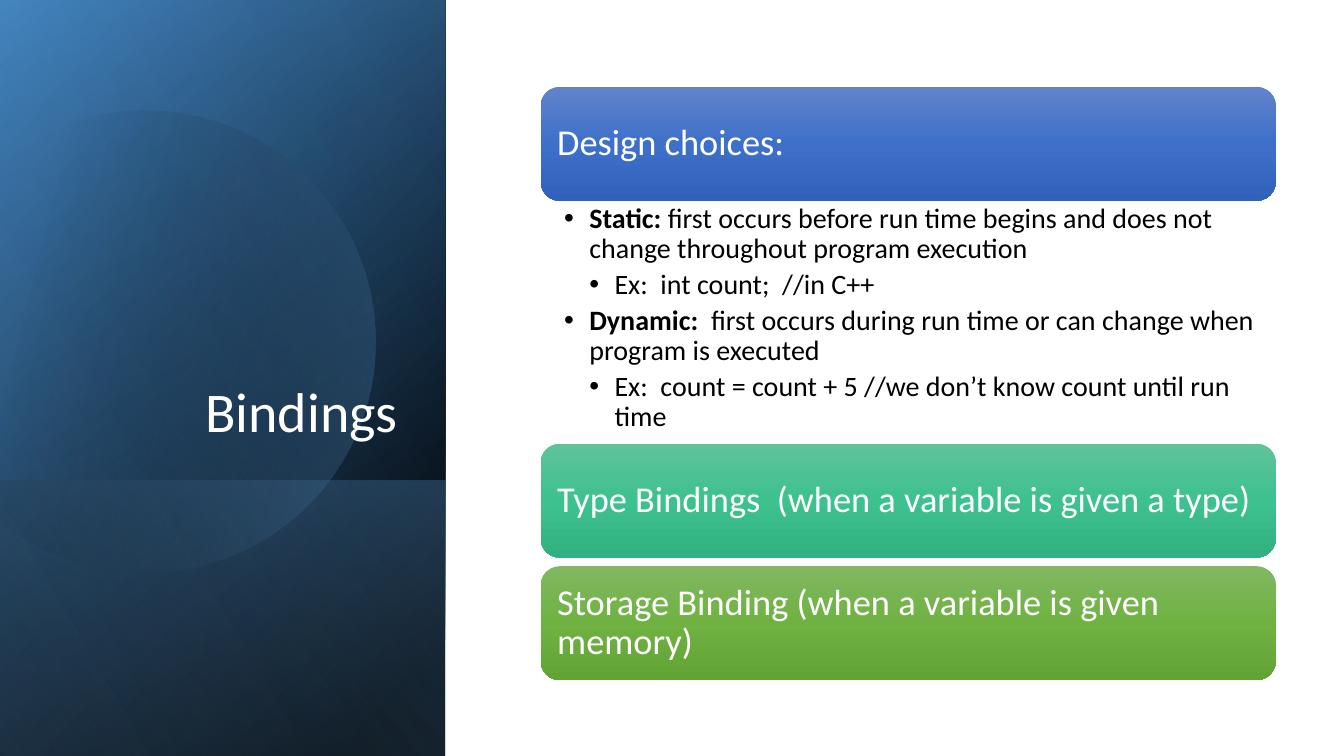
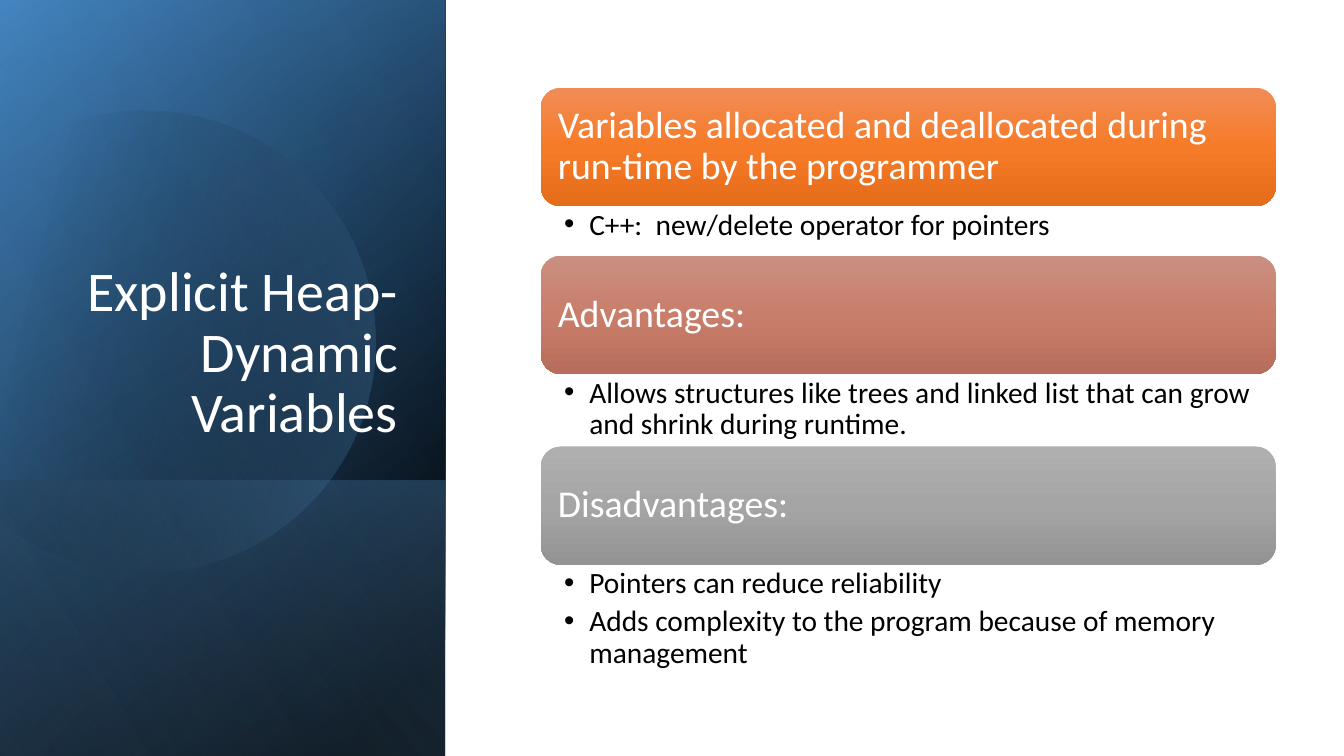
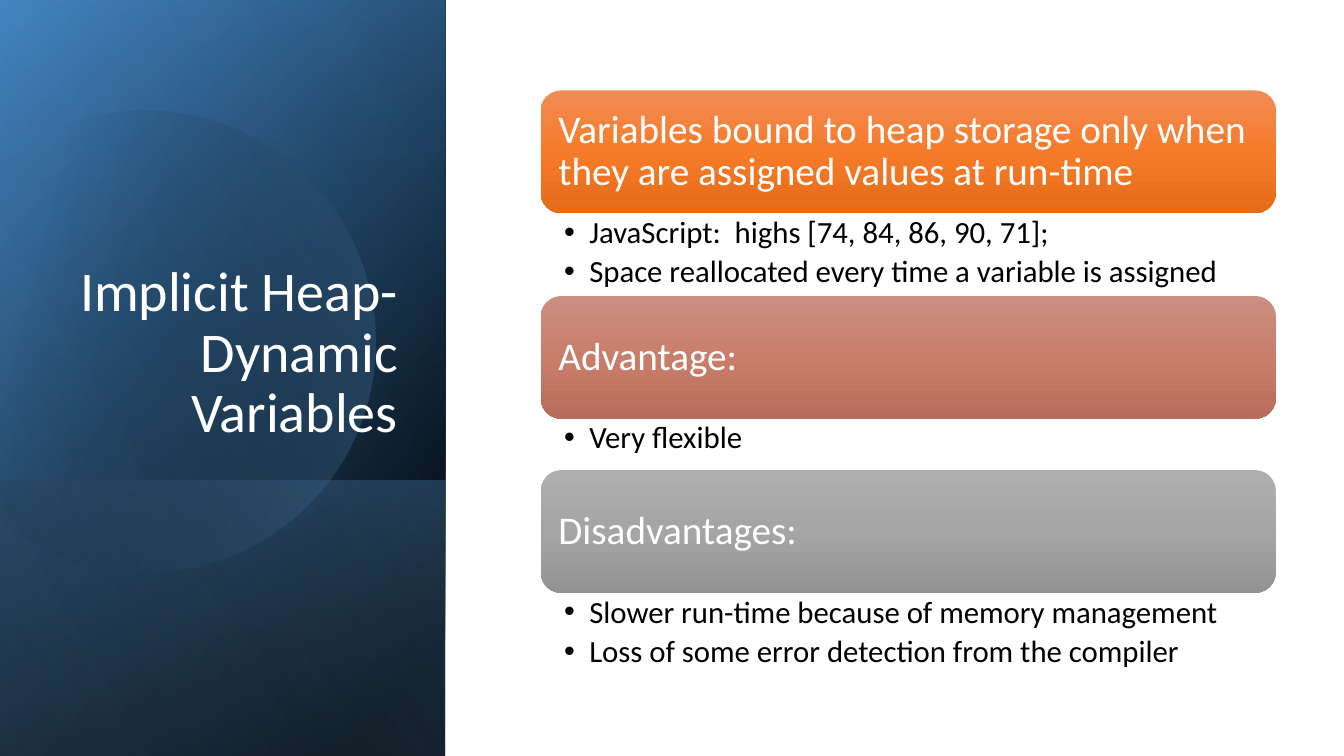
from math import cos, radians, sin

from pptx import Presentation
from pptx.dml.color import RGBColor
from pptx.enum.shapes import MSO_SHAPE
from pptx.enum.text import MSO_ANCHOR, PP_ALIGN
from pptx.oxml import parse_xml
from pptx.oxml.ns import nsdecls, qn
from pptx.util import Pt

FACE = "Calibri"
WHITE, BLACK, SKY = "FFFFFF", "000000", "5B9BD5"
BLUE = ("6183CB", "3E70CA", "3062BB")
TEAL = ("60C39A", "3DC18F", "31B080")
GREEN = ("81B861", "6FB242", "62A336")
ORANGE = ("F18C57", "F67B28", "E56C19")
ROSE = ("CB8F81", "C97E6B", "B76D5B")
GRAY = ("AFAFAF", "A5A5A5", "939393")

LEFT, WIDE = 386.25, 525
SIDE, HIGH = 318, 540

# Title, card font size, list font size, top, and the cards:
# colours, heading, height of the space below, list items (level, lead, text)
SLIDES = [
    ("Bindings", 26, 20, 62, [
        (BLUE, "Design choices:", 173.5, [
            (1, "Static: ", "first occurs before run time begins and does not "
                            "change throughout program execution"),
            (2, "", "Ex:  int count;  //in C++"),
            (1, "Dynamic:  ", "first occurs during run time or can change "
                              "when program is executed"),
            (2, "", "Ex:  count = count + 5 //we don’t know count until run time"),
        ]),
        (TEAL, "Type Bindings  (when a variable is given a type)", 6.2, []),
        (GREEN, "Storage Binding (when a variable is given memory)", 0, []),
    ]),
    ("Explicit Heap-Dynamic Variables", 27, 21, 62.7, [
        (ORANGE, "Variables allocated and deallocated during run-time "
                 "by the programmer", 35.4, [
            (1, "", "C++:  new/delete operator for pointers"),
        ]),
        (ROSE, "Advantages:", 51.8, [
            (1, "", "Allows structures like trees and linked list that can "
                    "grow and shrink during runtime."),
        ]),
        (GRAY, "Disadvantages:", 81.4, [
            (1, "", "Pointers can reduce reliability"),
            (1, "", "Adds complexity to the program because of memory management"),
        ]),
    ]),
    ("Implicit Heap-Dynamic Variables", 28, 22, 64.6, [
        (ORANGE, "Variables bound to heap storage only when they are "
                 "assigned values at run-time", 59.2, [
            (1, "", "JavaScript:  highs [74, 84, 86, 90, 71];"),
            (1, "", "Space reallocated every time a variable is assigned"),
        ]),
        (ROSE, "Advantage:", 36.7, [(1, "", "Very flexible")]),
        (GRAY, "Disadvantages:", 59, [
            (1, "", "Slower run-time because of memory management"),
            (1, "", "Loss of some error detection from the compiler"),
        ]),
    ]),
]


def color(code):
    return RGBColor.from_string(code)


def shade(shape, stops, angle):
    """Give a shape a linear gradient of (place, colour, opacity) stops, all in percent."""
    marks = "".join(
        f'<a:gs pos="{pos * 1000}"><a:srgbClr val="{code}">'
        f'<a:alpha val="{alpha * 1000}"/></a:srgbClr></a:gs>'
        for pos, code, alpha in stops)
    grad = parse_xml(
        f'<a:gradFill {nsdecls("a")} rotWithShape="1"><a:gsLst>{marks}</a:gsLst>'
        f'<a:lin ang="{angle * 60000}" scaled="0"/></a:gradFill>')
    shape.fill.solid()
    props = shape._element.spPr
    props.replace(props.find(qn("a:solidFill")), grad)
    shape.line.fill.background()
    shape.shadow.inherit = False


def panel(slide, top, tall, stops, angle):
    """Add a side panel, as a rectangle turned on its end and flipped."""
    shape = slide.shapes.add_shape(
        MSO_SHAPE.RECTANGLE, Pt((SIDE - tall) / 2), Pt(top + (tall - SIDE) / 2),
        Pt(tall), Pt(SIDE))
    shape.rotation = 90
    shape._element.spPr.find(qn("a:xfrm")).set("flipH", "1")
    shade(shape, stops, angle)


def disc(slide):
    """Add the tilted disc, cut by a chord on its left."""
    mid_x, mid_y, radius = 103.2, 241, 164.8
    turns = (-118, -90, 0, 90, 150)
    rim = [(Pt(mid_x + radius * cos(radians(turn))),
            Pt(mid_y + radius * sin(radians(turn)))) for turn in turns]
    path = slide.shapes.build_freeform(*rim[0])
    path.add_line_segments(rim[1:])
    shape = path.convert_to_shape()
    # Bend each edge of the rim, leaving the closing chord straight
    edges = list(shape._element.iter(qn("a:lnTo")))
    for edge, start, end in zip(edges, turns, turns[1:]):
        arc = parse_xml(
            f'<a:arcTo {nsdecls("a")} wR="{Pt(radius)}" hR="{Pt(radius)}" '
            f'stAng="{start % 360 * 60000}" swAng="{(end - start) * 60000}"/>')
        edge.getparent().replace(edge, arc)
    shape.rotation = 343.9
    shade(shape, [(29, BLACK, 0), (100, SKY, 43)], 30)


def style(para, size, code):
    para.line_spacing = 0.9
    para.font.name = FACE
    para.font.size = Pt(size)
    para.font.color.rgb = color(code)


def inset(frame, left, top, right, bottom):
    frame.word_wrap = True
    frame.margin_left, frame.margin_top = Pt(left), Pt(top)
    frame.margin_right, frame.margin_bottom = Pt(right), Pt(bottom)


def title(slide, text):
    box = slide.shapes.add_textbox(Pt(46), Pt(132.75), Pt(245.2), Pt(188.5))
    frame = box.text_frame
    inset(frame, 7.2, 3.6, 7.2, 3.6)
    frame.vertical_anchor = MSO_ANCHOR.BOTTOM
    para = frame.paragraphs[0]
    para.text = text
    para.alignment = PP_ALIGN.RIGHT
    style(para, 40, WHITE)


def card(slide, top, tall, tones, text, size):
    shape = slide.shapes.add_shape(
        MSO_SHAPE.ROUNDED_RECTANGLE, Pt(LEFT), Pt(top), Pt(WIDE), Pt(tall))
    shade(shape, [(pos, code, 100) for pos, code in zip((0, 50, 100), tones)], 90)
    frame = shape.text_frame
    inset(frame, *[0.3 * size] * 4)
    frame.vertical_anchor = MSO_ANCHOR.MIDDLE
    para = frame.paragraphs[0]
    para.text = text
    para.alignment = PP_ALIGN.LEFT
    style(para, size, WHITE)


def bullet(para, level):
    props = para._p.get_or_add_pPr()
    props.set("marL", str(Pt(18 * level)))
    props.set("indent", str(Pt(-18)))
    props.append(parse_xml(f'<a:buFont {nsdecls("a")} typeface="Arial"/>'))
    props.append(parse_xml(f'<a:buChar {nsdecls("a")} char="•"/>'))


def points(slide, top, tall, items, size):
    """Add the bulleted list below a card."""
    box = slide.shapes.add_textbox(Pt(LEFT), Pt(top), Pt(WIDE), Pt(tall))
    frame = box.text_frame
    inset(frame, 16.7, 2.6, 0.71 * size, 2.6)
    for num, (level, lead, text) in enumerate(items):
        para = frame.add_paragraph() if num else frame.paragraphs[0]
        bullet(para, level)
        if lead:
            run = para.add_run()
            run.text = lead
            run.font.bold = True
        para.add_run().text = text
        para.space_after = Pt(0.2 * size)
        style(para, size, BLACK)


def backdrop(slide):
    panel(slide, 0, HIGH, [(8, BLACK, 100), (100, "2E75B6", 100)], 50)
    panel(slide, 0, HIGH, [(0, BLACK, 0), (99, SKY, 46)], 30)
    panel(slide, 343, HIGH - 343, [(2, SKY, 29), (100, BLACK, 30)], 130)
    disc(slide)
    panel(slide, 0, HIGH, [(0, BLACK, 0), (99, "9DC3E6", 11)], 120)


def main():
    deck = Presentation()
    deck.slide_width, deck.slide_height = Pt(960), Pt(HIGH)
    for name, big, small, top, cards in SLIDES:
        slide = deck.slides.add_slide(deck.slide_layouts[6])
        backdrop(slide)
        title(slide, name)
        tall = 3.13 * big
        for tones, head, space, items in cards:
            card(slide, top, tall, tones, head, big)
            top += tall
            if items:
                points(slide, top, space, items, small)
            top += space
    deck.save("out.pptx")


if __name__ == "__main__":
    main()
